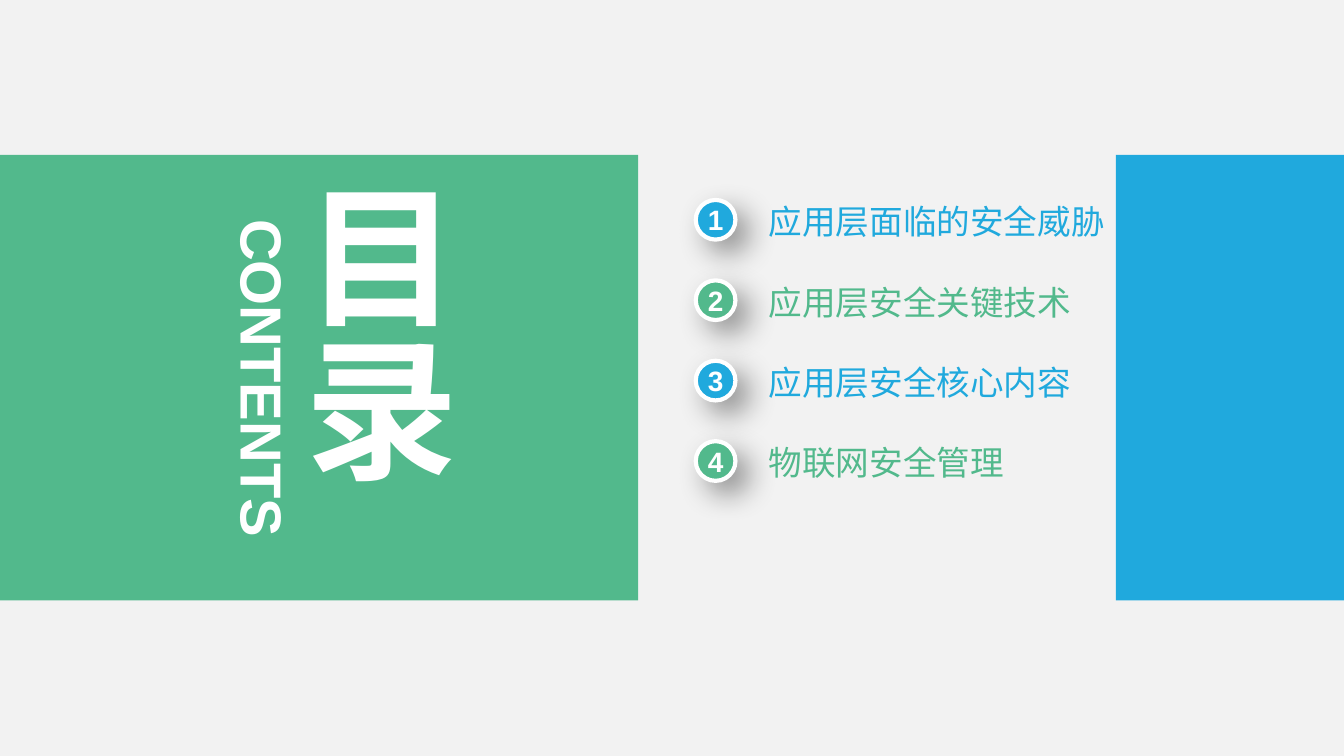
from lxml.etree import SubElement
from pptx import Presentation
from pptx.dml.color import RGBColor
from pptx.enum.shapes import MSO_SHAPE
from pptx.enum.text import MSO_ANCHOR, MSO_AUTO_SIZE, PP_ALIGN
from pptx.oxml.ns import qn
from pptx.util import Cm, Pt

COLORS = {
    "background": "F2F2F2",
    "green": "52B98C",
    "blue": "20A9DD",
    "white": "FFFFFF",
    "shadow": "000000",
}
FONT = "Arial"
TOPICS = ["应用层面临的安全威胁", "应用层安全关键技术", "应用层安全核心内容", "物联网安全管理"]
FIRST_TOP, ROW_STEP = 3.78, 1.52
BAND_TOP, BAND_HEIGHT = 2.93, 8.42


def rgb(name):
    return RGBColor.from_string(COLORS[name])


def write(frame, text, size, color, bold=False, align=PP_ALIGN.LEFT, anchor=MSO_ANCHOR.MIDDLE):
    frame.margin_left = frame.margin_right = frame.margin_top = frame.margin_bottom = 0
    frame.word_wrap = True
    frame.vertical_anchor = anchor
    frame.text = text
    paragraph = frame.paragraphs[0]
    paragraph.alignment = align
    font = paragraph.runs[0].font
    font.name, font.size, font.bold = FONT, Pt(size), bold
    font.color.rgb = rgb(color)


def add_label(slide, left, top, width, height, text, size, color, **style):
    label = slide.shapes.add_textbox(Cm(left), Cm(top), Cm(width), Cm(height))
    write(label.text_frame, text, size, color, **style)
    label.text_frame.auto_size = MSO_AUTO_SIZE.SHAPE_TO_FIT_TEXT
    return label


def add_band(slide, left, width, color):
    band = slide.shapes.add_shape(
        MSO_SHAPE.RECTANGLE, Cm(left), Cm(BAND_TOP), Cm(width), Cm(BAND_HEIGHT))
    band.shadow.inherit = False
    band.fill.solid()
    band.fill.fore_color.rgb = rgb(color)
    band.line.fill.background()


def add_soft_shadow(shape):
    """Cast a blurred shadow to the lower right."""
    shape.shadow.inherit = False
    effects = shape._element.spPr.find(qn("a:effectLst"))
    shadow = SubElement(effects, qn("a:outerShdw"), blurRad=str(Pt(16)), dist=str(Pt(9)),
                        dir="2700000", algn="tl", rotWithShape="0")
    tint = SubElement(shadow, qn("a:srgbClr"), val=COLORS["shadow"])
    SubElement(tint, qn("a:alpha"), val="40000")


def add_badge(slide, top, number, color):
    badge = slide.shapes.add_shape(MSO_SHAPE.OVAL, Cm(13.15), Cm(top), Cm(0.75), Cm(0.75))
    add_soft_shadow(badge)
    badge.fill.solid()
    badge.fill.fore_color.rgb = rgb(color)
    badge.line.color.rgb = rgb("white")
    badge.line.width = Pt(2.25)
    write(badge.text_frame, str(number), 15, "white", bold=True, align=PP_ALIGN.CENTER)


def add_topic(slide, index, topic):
    color = "green" if index % 2 else "blue"
    top = FIRST_TOP + index * ROW_STEP
    add_badge(slide, top, index + 1, color)
    add_label(slide, 14.53, top + 0.02, 6.56, 0.76, topic, 18, color)


def add_title(slide):
    title = add_label(slide, 5.36, 3.4, 3.5, 7.5, "目录", 82, "white",
                      bold=True, align=PP_ALIGN.CENTER)
    title.text_frame._txBody.bodyPr.set("vert", "eaVert")
    subtitle = add_label(slide, 1.7, 6.47, 6.53, 1.35, "CONTENTS", 31, "white",
                         bold=True, align=PP_ALIGN.CENTER, anchor=MSO_ANCHOR.TOP)
    subtitle.rotation = 90


def main():
    deck = Presentation()
    deck.slide_width, deck.slide_height = Cm(25.4), Cm(14.29)
    slide = deck.slides.add_slide(deck.slide_layouts[6])
    slide.background.fill.solid()
    slide.background.fill.fore_color.rgb = rgb("background")
    add_band(slide, -0.05, 12.11, "green")
    add_band(slide, 21.09, 4.35, "blue")
    add_title(slide)
    for index, topic in enumerate(TOPICS):
        add_topic(slide, index, topic)
    deck.save("out.pptx")


if __name__ == "__main__":
    main()
